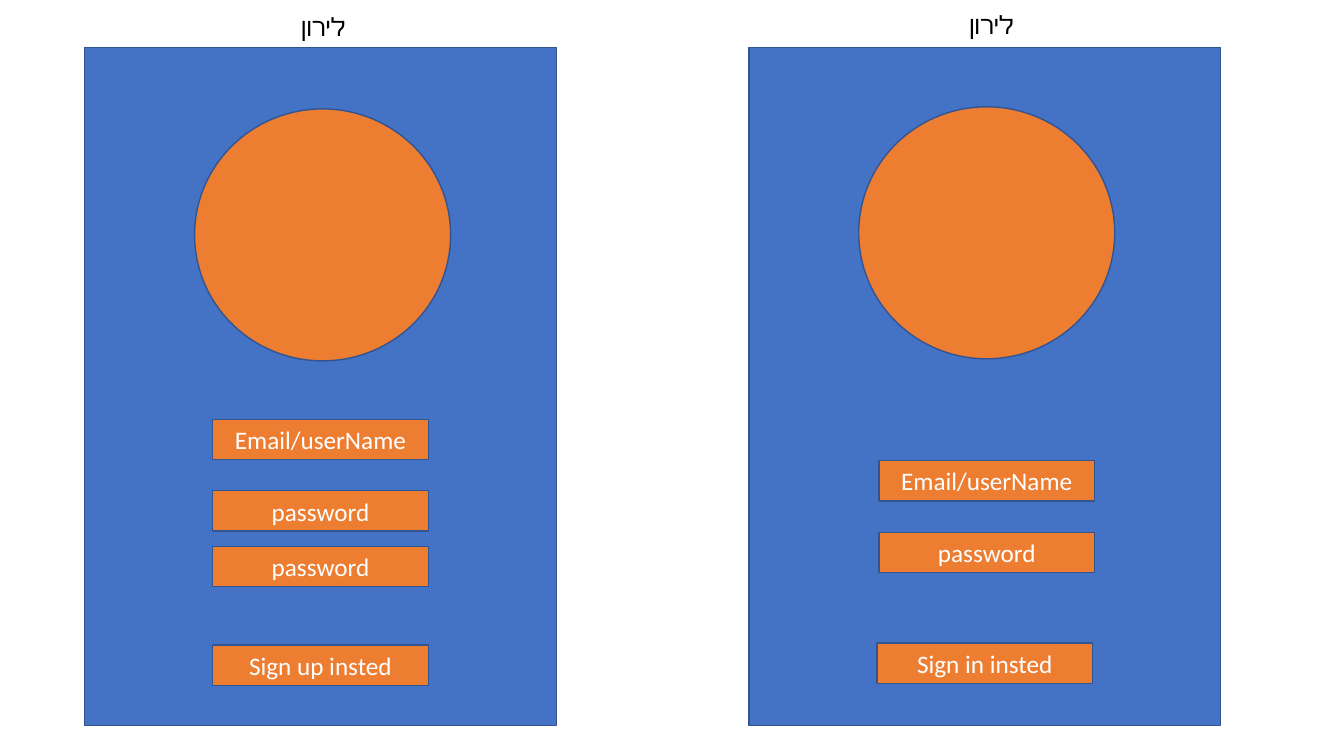
from pptx import Presentation
from pptx.dml.color import RGBColor
from pptx.enum.shapes import MSO_SHAPE
from pptx.enum.text import MSO_ANCHOR, PP_ALIGN
from pptx.util import Pt

RECTANGLE, OVAL = MSO_SHAPE.RECTANGLE, MSO_SHAPE.OVAL
CENTER, MIDDLE = PP_ALIGN.CENTER, MSO_ANCHOR.MIDDLE
BLUE, ORANGE, OUTLINE = "4472C4", "ED7D31", "325491"
WHITE, BLACK = "FFFFFF", "000000"

# Two app screens; positions are (left, top) in points
SCREENS = [
    {
        "panel": (535, 33.8), "avatar": (613.4, 76.3),
        "title": ("לירון", 685.4, 2.9),
        "fields": [("Email/userName", 627.8, 329),
                   ("password", 627.8, 380.2),
                   ("Sign in insted", 626.4, 459.4)],
    },
    {
        "panel": (60.5, 33.8), "avatar": (139, 77.8),
        "title": ("לירון", 208.1, 4.3),
        "fields": [("Email/userName", 151.9, 299.5),
                   ("password", 151.9, 350.6),
                   ("password", 151.9, 390.2),
                   ("Sign up insted", 151.9, 460.8)],
    },
]
PANEL_SIZE = (337, 484.5)
AVATAR_SIZE = (182.9, 180)
FIELD_SIZE = (154.1, 28.8)
TITLE_SIZE = (89.3, 28.8)


def color(hex_value):
    return RGBColor.from_string(hex_value)


def set_text(shape, text, text_color):
    paragraph = shape.text_frame.paragraphs[0]
    paragraph.text = text
    paragraph.font.name = "Calibri"
    paragraph.font.size = Pt(18)
    paragraph.font.color.rgb = color(text_color)
    return paragraph


def add_block(slide, kind, position, size, fill):
    shape = slide.shapes.add_shape(kind, *map(Pt, position + size))
    shape.shadow.inherit = False
    shape.fill.solid()
    shape.fill.fore_color.rgb = color(fill)
    shape.line.color.rgb = color(OUTLINE)
    shape.line.width = Pt(1)
    return shape


def add_field(slide, text, left, top):
    field = add_block(slide, RECTANGLE, (left, top), FIELD_SIZE, ORANGE)
    field.text_frame.vertical_anchor = MIDDLE
    set_text(field, text, WHITE).alignment = CENTER


def add_title(slide, text, left, top):
    title = slide.shapes.add_textbox(*map(Pt, (left, top) + TITLE_SIZE))
    title.text_frame.word_wrap = True
    set_text(title, text, BLACK)


presentation = Presentation()
presentation.slide_width, presentation.slide_height = Pt(960), Pt(540)
slide = presentation.slides.add_slide(presentation.slide_layouts[6])

# Panel, avatar circle, fields and title of each screen
for screen in SCREENS:
    add_block(slide, RECTANGLE, screen["panel"], PANEL_SIZE, BLUE)
    add_block(slide, OVAL, screen["avatar"], AVATAR_SIZE, ORANGE)
    for field in screen["fields"]:
        add_field(slide, *field)
    add_title(slide, *screen["title"])

presentation.save("out.pptx")
